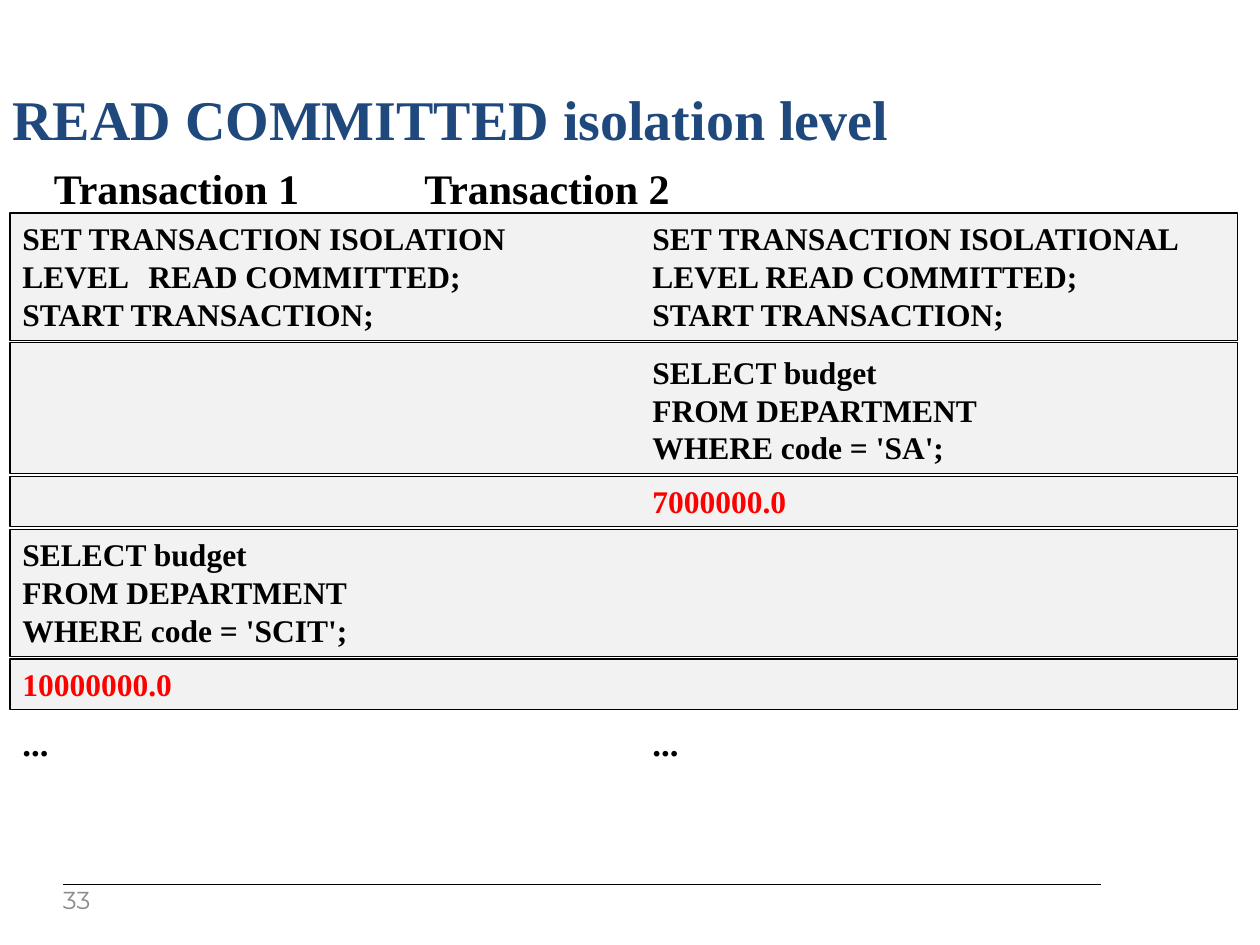
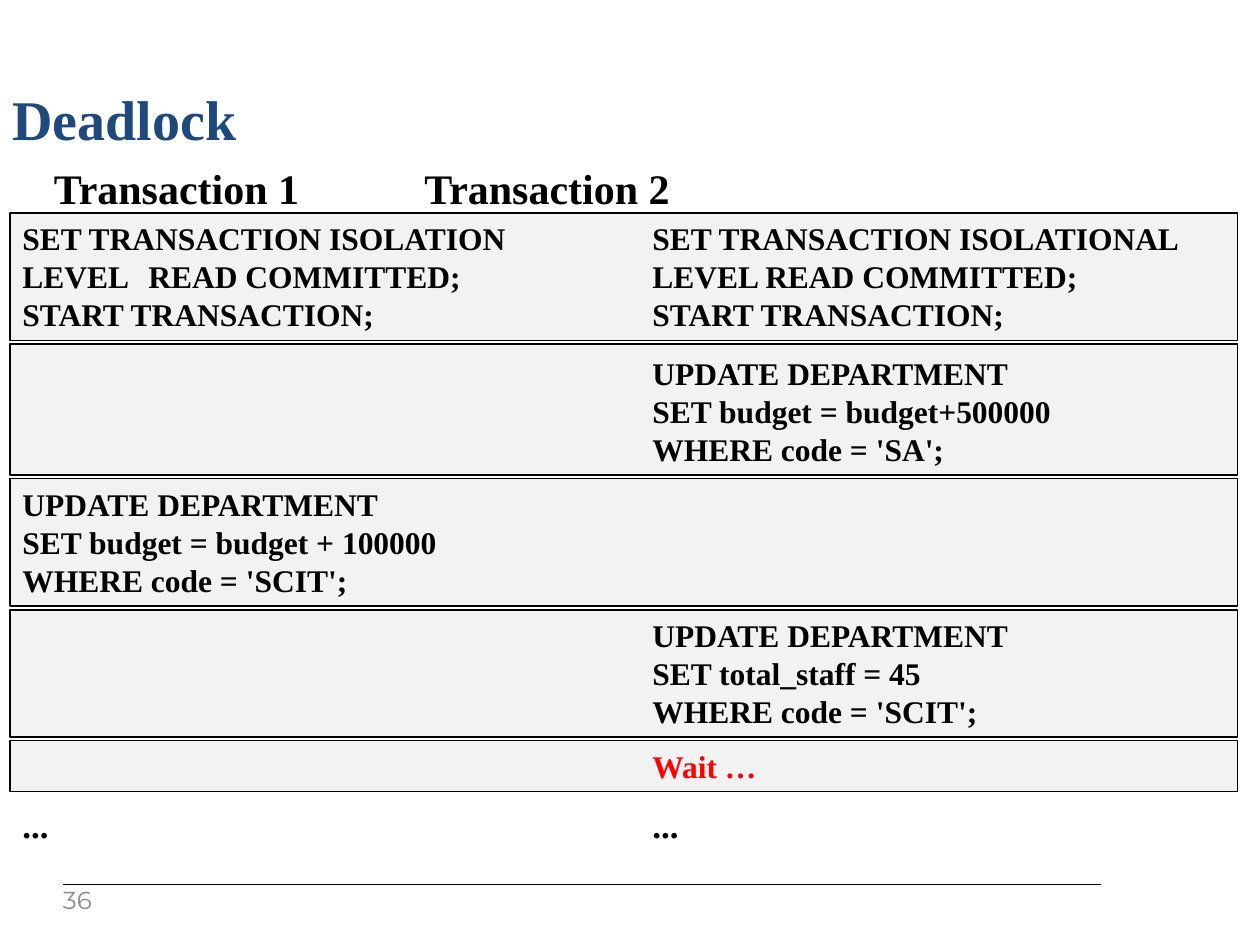
from dataclasses import dataclass
from itertools import zip_longest

from lxml.etree import SubElement
from pptx import Presentation
from pptx.dml.color import RGBColor
from pptx.enum.shapes import MSO_CONNECTOR, MSO_SHAPE
from pptx.enum.text import MSO_ANCHOR, PP_ALIGN
from pptx.oxml.ns import qn
from pptx.util import Inches, Pt


@dataclass(frozen=True)
class Theme:
    serif: str = "Times New Roman"
    sans: str = "Montserrat"
    title: str = "1F497D"
    text: str = "000000"
    result: str = "FF0000"
    row: str = "F2F2F2"
    number: str = "8B8B8B"
    title_size: int = 32
    heading_size: int = 24
    dots_size: int = 20
    code_size: int = 18
    number_size: int = 14
    rule: float = 0.75


ROW_LEFT, ROW_WIDTH, ROWS_TOP = 0.08, 9.74, 1.69
ROW_HEIGHTS = {1: 0.4, 3: 1.01}
LEAD = 0.03
DOTS_GAP = 0.05
COLUMN_TAB, WORD_TAB, HEADING_TAB = 5, 1, 2.94

START = (
    ["SET TRANSACTION ISOLATION", "LEVEL\tREAD COMMITTED;", "START TRANSACTION;"],
    ["SET TRANSACTION ISOLATIONAL", "LEVEL READ COMMITTED;", "START TRANSACTION;"],
)

SLIDES = [
    dict(title="READ COMMITTED isolation level", number=33, gap=0.02, rows=[
        dict(first=START[0], second=START[1]),
        dict(second=["SELECT budget", "FROM DEPARTMENT", "WHERE code = 'SA';"], lead=LEAD),
        dict(second=["7000000.0"], result=True),
        dict(first=["SELECT budget", "FROM DEPARTMENT", "WHERE code = 'SCIT';"]),
        dict(first=["10000000.0"], result=True),
    ]),
    dict(title="Deadlock", number=36, gap=0.03, rows=[
        dict(first=START[0], second=START[1]),
        dict(second=["UPDATE DEPARTMENT", "SET budget = budget+500000", "WHERE code = 'SA';"],
             lead=LEAD),
        dict(first=["UPDATE DEPARTMENT", "SET budget = budget + 100000", "WHERE code = 'SCIT';"]),
        dict(second=["UPDATE DEPARTMENT", "SET total_staff = 45", "WHERE code = 'SCIT';"]),
        dict(second=["Wait …"], result=True),
    ]),
]


class Deck:
    """Hold the theme and the current slide, and draw each kind of element."""

    def __init__(self, theme):
        self.theme = theme
        self.prs = Presentation()
        self.prs.slide_width, self.prs.slide_height = Inches(10), Inches(7.5)

    def new_slide(self):
        self.s = self.prs.slides.add_slide(self.prs.slide_layouts[6])

    def fill_text(self, tf, lines, size, color, font=None, bold=True, tabs=(), **frame):
        for name, value in {"word_wrap": True, "vertical_anchor": MSO_ANCHOR.TOP, **frame}.items():
            setattr(tf, name, value)
        for i, line in enumerate(lines):
            p = tf.add_paragraph() if i else tf.paragraphs[0]
            p.alignment = PP_ALIGN.LEFT
            stops = [WORD_TAB, *tabs] if line.count("\t") > 1 else tabs
            if stops:
                tab_list = SubElement(p._p.get_or_add_pPr(), qn("a:tabLst"))
                for stop in stops:
                    SubElement(tab_list, qn("a:tab"), pos=str(Inches(stop)), algn="l")
            r = p.add_run()
            r.text = line
            style = {"name": font or self.theme.serif, "size": Pt(size), "bold": bold}
            for name, value in style.items():
                setattr(r.font, name, value)
            r.font.color.rgb = RGBColor.from_string(color)

    def text(self, left, top, width, height, line, size, color, **options):
        sp = self.s.shapes.add_textbox(*map(Inches, (left, top, width, height)))
        self.fill_text(sp.text_frame, [line], size, color, **options)

    def title(self, title):
        self.text(0, 0.62, 10, 0.67, title, self.theme.title_size, self.theme.title)

    def heading(self):
        self.text(0.33, 1.24, 9.33, 0.5, "Transaction 1\tTransaction 2",
                  self.theme.heading_size, self.theme.text, tabs=[HEADING_TAB])

    def row(self, top, first=(), second=(), result=False, lead=0):
        lines = [f"{a}\t{b}" if b else a for a, b in zip_longest(first, second, fillvalue="")]
        height = ROW_HEIGHTS[len(lines)] + lead
        sp = self.s.shapes.add_shape(
            MSO_SHAPE.RECTANGLE, *map(Inches, (ROW_LEFT, top, ROW_WIDTH, height)))
        sp.shadow.inherit = False
        sp.fill.solid()
        sp.fill.fore_color.rgb = RGBColor.from_string(self.theme.row)
        sp.line.color.rgb = RGBColor.from_string(self.theme.text)
        sp.line.width = Pt(self.theme.rule)
        self.fill_text(sp.text_frame, lines, self.theme.code_size,
                       self.theme.result if result else self.theme.text,
                       tabs=[COLUMN_TAB], margin_top=Inches(0.05 + lead))
        return top + height

    def schedule(self, rows, gap):
        top = ROWS_TOP
        for row in rows:
            bottom = self.row(top, **row)
            top = bottom + gap
        self.text(ROW_LEFT, bottom + DOTS_GAP, ROW_WIDTH, 0.44, "...\t...",
                  self.theme.dots_size, self.theme.text, tabs=[COLUMN_TAB])

    def footer(self, number):
        line = self.s.shapes.add_connector(
            MSO_CONNECTOR.STRAIGHT, *map(Inches, (0.5, 7.02, 8.74, 7.02)))
        line.line.color.rgb = RGBColor.from_string(self.theme.text)
        line.line.width = Pt(self.theme.rule)
        SubElement(line._element.spPr, qn("a:effectLst"))
        self.text(0.5, 7.06, 0.4, 0.21, str(number), self.theme.number_size,
                  self.theme.number, font=self.theme.sans, bold=False,
                  vertical_anchor=MSO_ANCHOR.MIDDLE, margin_left=0, margin_top=0)


def main():
    deck = Deck(Theme())
    for content in SLIDES:
        deck.new_slide()
        deck.footer(content["number"])
        deck.title(content["title"])
        deck.heading()
        deck.schedule(content["rows"], content["gap"])
    deck.prs.save("out.pptx")


if __name__ == "__main__":
    main()
